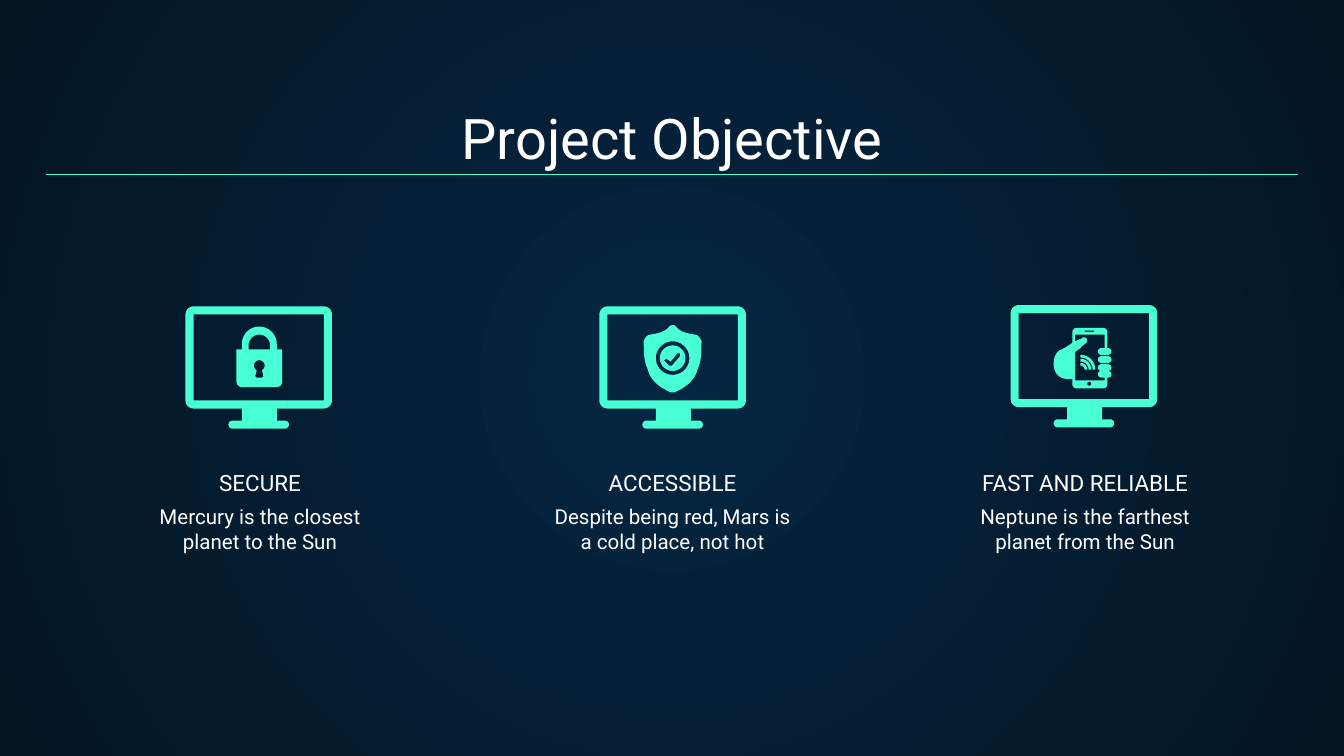
import math

from lxml import etree
from pptx import Presentation
from pptx import util as u
from pptx.dml import color
from pptx.enum import shapes, text
from pptx.oxml import ns

PX = 9144
MINT, WHITE = "48FFD5", "FFFFFF"
COLUMN_PITCH = 307
COLUMNS = [
    ("SECURE", "Mercury is the closest planet to the Sun", (138, 228)),
    ("ACCESSIBLE", "Despite being red, Mars is a cold place, not hot", (446, 228)),
    ("FAST AND RELIABLE", "Neptune is the farthest planet from the Sun", (752, 227)),
]


def emu(px):
    """Turn px into EMU."""
    return u.Emu(round(px * PX))


def rgb(value):
    """Turn a hex string into a colour."""
    return color.RGBColor.from_string(value)


def add_background(slide, centre, edge):
    """Fill the background with a gradient running out from its middle."""
    fill = slide.background.fill
    fill.gradient()
    for stop, position, value in zip(fill.gradient_stops, (0, 1), (centre, edge)):
        stop.position = position
        stop.color.rgb = rgb(value)
    gradient = slide.element.find(".//" + ns.qn("a:gradFill"))
    gradient.remove(gradient.find(ns.qn("a:lin")))
    circle = etree.SubElement(gradient, ns.qn("a:path"), {"path": "circle"})
    sides = {side: "50000" for side in "ltrb"}
    etree.SubElement(circle, ns.qn("a:fillToRect"), sides)


def add_text(slide, words, left, top, width, height, *, size, anchor="TOP"):
    """Add a centred white text box."""
    box = slide.shapes.add_textbox(emu(left), emu(top), emu(width), emu(height))
    frame = box.text_frame
    frame.word_wrap = True
    frame.vertical_anchor = text.MSO_ANCHOR[anchor]
    frame.margin_left = frame.margin_right = emu(10)
    frame.margin_top = frame.margin_bottom = emu(10)
    paragraph = frame.paragraphs[0]
    paragraph.alignment = text.PP_ALIGN.CENTER
    run = paragraph.add_run()
    run.text = words
    run.font.name = "Roboto"
    run.font.size = u.Pt(size)
    run.font.color.rgb = rgb(WHITE)


def add_rule(slide, left, right, y):
    """Add the thin rule under the title."""
    rule = slide.shapes.add_connector(
        shapes.MSO_CONNECTOR.STRAIGHT, emu(left), emu(y), emu(right), emu(y))
    rule.line.color.rgb = rgb(MINT)
    rule.line.width = u.Pt(0.75)
    etree.SubElement(rule.element.spPr, ns.qn("a:effectLst"))


def arc(left, top, size, start=0, end=360):
    """List points clockwise along a circle given by its box."""
    radius = size / 2
    steps = max(6, (end - start) // 10)
    angles = [math.radians(start + (end - start) * i / steps) for i in range(steps + 1)]
    return [(left + radius * (1 + math.cos(a)), top + radius * (1 + math.sin(a)))
            for a in angles]


def curve(*knots, steps=8):
    """List points along chained cubic curves."""
    points = [knots[0]]
    for i in range(0, len(knots) - 1, 3):
        for step in range(1, steps + 1):
            t = step / steps
            weights = ((1 - t) ** 3, 3 * t * (1 - t) ** 2, 3 * t * t * (1 - t), t ** 3)
            points.append(tuple(sum(w * knot[axis] for w, knot in zip(weights, knots[i:i + 4]))
                                for axis in (0, 1)))
    return points


def add_icon(slide, *contours):
    """Add one filled outline, its inner contours being holes."""
    outlines = [[(emu(x), emu(y)) for x, y in contour] for contour in contours]
    builder = slide.shapes.build_freeform(*outlines[0][0], scale=1.0)
    for index, outline in enumerate(outlines):
        if index:
            builder.move_to(*outline[0])
        builder.add_line_segments(outline[1:], close=True)
    icon = builder.convert_to_shape()
    icon.shadow.inherit = False
    icon.fill.solid()
    icon.fill.fore_color.rgb = rgb(MINT)
    icon.line.fill.background()


def add_monitor(slide, left, top):
    """Add a monitor frame on its stand."""
    frame = [
        *arc(0, 0, 12, 180, 270), *arc(97, 0, 12, 270, 360), *arc(97, 64, 12, 0, 90),
        (68, 76), (68, 85), *arc(71, 85, 6, 270, 450),
        *arc(32, 85, 6, 90, 270), (42, 85), (42, 76), *arc(0, 64, 12, 90, 180),
    ]
    screen = [(6, 6), (103, 6), (103, 70), (6, 70)]
    add_icon(slide, *([(left + x, top + y) for x, y in part] for part in (frame, screen)))


def add_lock(slide):
    """Add the padlock."""
    body = [(180, 260), *arc(180, 243, 26, 180, 360), (206, 260), (210, 260),
            *arc(202, 280, 8, 0, 90), *arc(176, 280, 8, 90, 180), (176, 260)]
    shackle = [(185, 260), *arc(185, 249, 16, 180, 360), (201, 260)]
    keyhole = [*arc(189, 268, 8, 120, 420), (196, 280), (195, 281), (191, 281), (190, 280)]
    add_icon(slide, body, shackle, keyhole)


def add_shield(slide):
    """Add the shield and its check badge."""
    check = [(494, 268), (496, 267), (499, 269), (504, 263), (506, 263),
             (506, 265), (500, 272), (498, 272), (495, 269)]
    add_icon(slide, arc(491, 257, 19), check)
    half = curve((500, 242), (500, 242), (499, 242), (498, 243),
                 (495, 247), (490, 248), (484, 249), (482, 249), (480, 251), (479, 254),
                 (479, 261), (479, 269), (482, 275), (483, 279), (485, 282), (488, 285),
                 (491, 288), (495, 290), (499, 292))
    mirrored = [(1001 - x, y) for x, y in reversed(half)]
    add_icon(slide, half + mirrored, arc(488, 254, 25))


def finger(top):
    """Return the left and right ends of a finger."""
    return arc(817, top, 5, 90, 270), arc(822, top, 5, 270, 450)


def wave(radius):
    """Outline a quarter ring around the signal's source."""
    outer, inner = (arc(804 - r, 275 - r, 2 * r, 270, 360) for r in (radius, radius - 2))
    return outer + inner[::-1]


def add_phone(slide):
    """Add the hand holding a phone."""
    first_left, first_right = finger(259)
    last_left, last_right = finger(276)
    thumb = curve((800, 254), (802, 253), (804, 252), (805, 252),
                  (805, 251), (806, 251), (807, 251), (808, 251), (809, 252), (809, 254),
                  (808, 256), (805, 257), (803, 260), (802, 260), (801, 261), (800, 262))
    palm = curve((794, 282), (794, 282), (789, 282), (786, 278),
                 (785, 276), (784, 274), (784, 271), (784, 264), (787, 261), (790, 260),
                 (790, 260), (794, 258), (798, 255))
    hand = [
        *arc(798, 244, 6, 180, 270), *arc(818, 244, 6, 270, 360), (824, 259),
        *first_right, *first_left, (822, 259), (822, 249), (800, 249),
        *thumb, (800, 283), (822, 283), (822, 281),
        *last_left, *last_right, (824, 281),
        *arc(818, 283, 6, 0, 90), *arc(798, 283, 6, 90, 180), (798, 282), *palm,
    ]
    speaker = [(807, 246), (814, 246), (814, 247), (807, 247)]
    middle_fingers = [sum(finger(top), []) for top in (265, 271)]
    waves = [wave(radius) for radius in (11, 8, 5)]
    add_icon(slide, hand, speaker, arc(809, 284, 3), *middle_fingers, *waves)


def main():
    """Build the slide and save it."""
    deck = Presentation()
    deck.slide_width = emu(1000)
    deck.slide_height = u.Emu(deck.slide_width * 9 // 16)
    slide = deck.slides.add_slide(deck.slide_layouts[6])
    add_background(slide, "052643", "041523")
    add_text(slide, "Project Objective", 34, 71, 932, 66, size=30, anchor="BOTTOM")
    for index, (heading, caption, monitor) in enumerate(COLUMNS):
        offset = index * COLUMN_PITCH
        add_text(slide, caption, 90 + offset, 365, 207, 55, size=11)
        add_text(slide, heading, 80 + offset, 358, 227, 21, size=12, anchor="BOTTOM")
        add_monitor(slide, *monitor)
    add_shield(slide)
    add_phone(slide)
    add_lock(slide)
    add_rule(slide, 34, 966, 130)
    deck.save("out.pptx")


if __name__ == "__main__":
    main()
